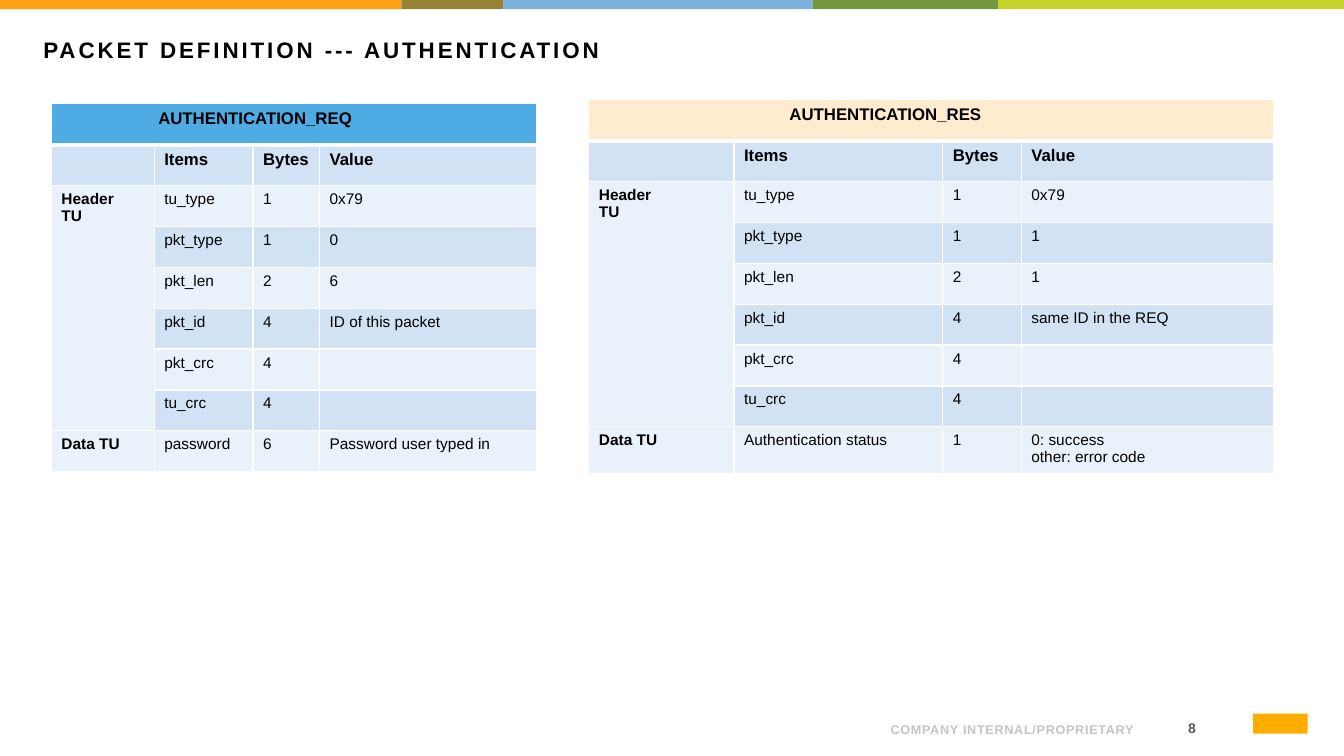
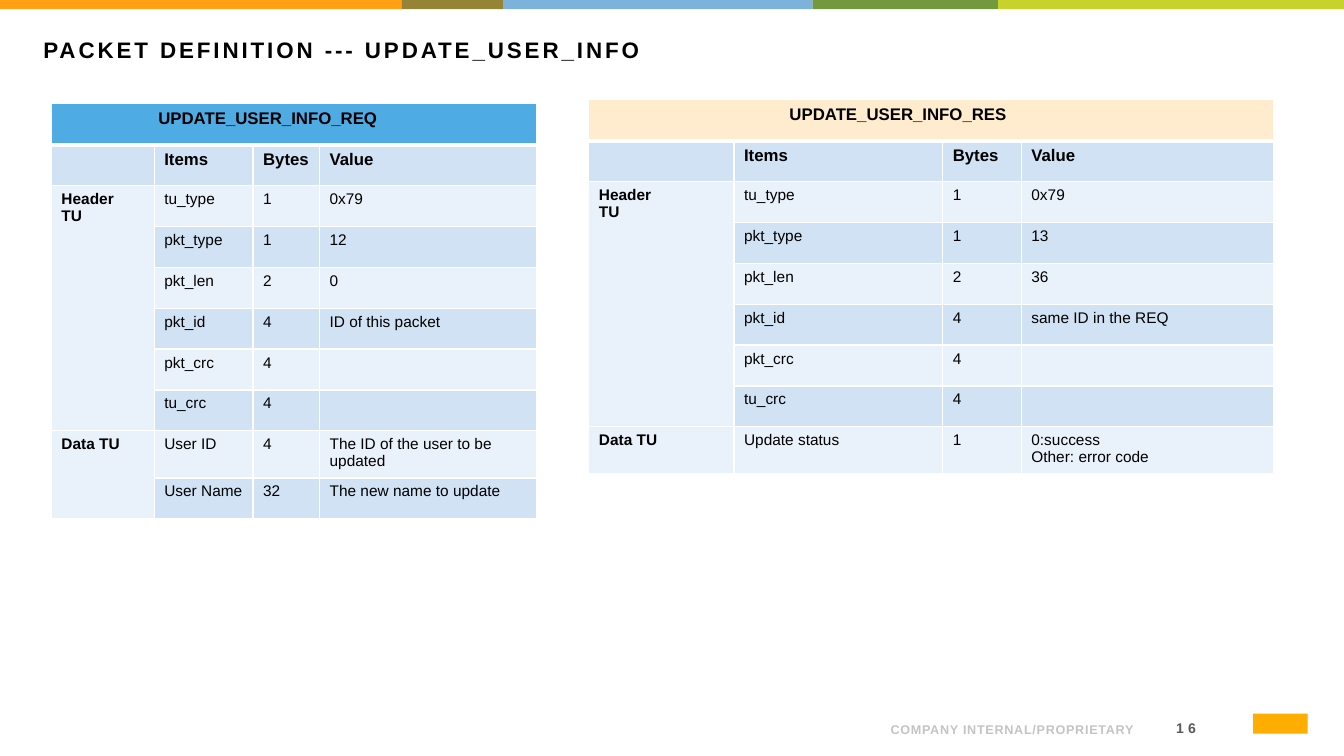
from dataclasses import dataclass
from typing import Optional

import lxml.etree
import pptx
import pptx.dml.color
import pptx.enum.shapes
import pptx.enum.text
import pptx.oxml.ns
import pptx.util

Inches = pptx.util.Inches
Align = pptx.enum.text.PP_ALIGN
Anchor = pptx.enum.text.MSO_ANCHOR

SLIDE_WIDTH, SLIDE_HEIGHT = 13.33, 7.5
ROW_HEIGHT = 3.65 / 9
CELL_MARGIN = 0.1
TITLE_ONLY_LAYOUT = 5


@dataclass(frozen=True)
class TextStyle:
    size: float
    color: str
    bold: bool = True
    spacing: float = 0


@dataclass(frozen=True)
class Theme:
    font: str = "Arial"
    title: TextStyle = TextStyle(16, "000000", spacing=2.1)
    heading: TextStyle = TextStyle(12, "000000")
    section: TextStyle = TextStyle(11, "000000")
    entry: TextStyle = TextStyle(11, "000000", bold=False)
    page_number: TextStyle = TextStyle(10, "595959", spacing=3)
    confidentiality: TextStyle = TextStyle(9, "C4C4C4", spacing=0.5)
    request: str = "4FABE3"
    response: str = "FFEBCE"
    dark_row: str = "D0E2F4"
    light_row: str = "E9F1FA"
    border: str = "FFFFFF"
    emblem: str = "FFAD00"


THEME = Theme()


@dataclass(frozen=True)
class Box:
    left: float
    top: float
    width: float
    height: float

    def emu(self) -> tuple[int, ...]:
        return tuple(Inches(v) for v in (self.left, self.top, self.width, self.height))


@dataclass(frozen=True)
class Band:
    width: float
    color: str


@dataclass(frozen=True)
class Field:
    item: str
    size: str
    value: str = ""


@dataclass(frozen=True)
class Section:
    name: str
    fields: list[Field]


@dataclass(frozen=True)
class TableLayout:
    left: float
    top: float
    columns: tuple[float, ...]
    heading_indent: float
    heading_fill: str


@dataclass(frozen=True)
class Packet:
    name: str
    layout: TableLayout
    sections: list[Section]


@dataclass(frozen=True)
class Page:
    title: str
    number: str
    packets: list[Packet]


TOP_BANDS = [
    Band(3.98, "FFA015"),
    Band(1.01, "958436"),
    Band(3.07, "7DB2DB"),
    Band(1.84, "73983E"),
    Band(3.43, "C7D22D"),
]
BAND_HEIGHT = 0.09
TITLE_BOX = Box(0.33, 0.31, 12.53, 0.72)
NUMBER_BOX = Box(11.28, 7.07, 0.65, 0.3)
CONFIDENTIALITY_BOX = Box(8.51, 7.02, 2.83, 0.34)
EMBLEM_BOX = Box(12.43, 7.08, 0.54, 0.2)

REQUEST = TableLayout(0.51, 1.03, (1.02, 0.98, 0.66, 2.15), 1.06, THEME.request)
RESPONSE = TableLayout(5.84, 0.99, (1.44, 2.07, 0.78, 2.5), 1.99, THEME.response)
COLUMN_NAMES = ("", "Items", "Bytes", "Value")


def packet(name: str, layout: TableLayout, kind: str, length: str,
           packet_id: str, data: list[Field]) -> Packet:
    """Combine the header fields common to all packets with the packet's own data."""
    header = [
        Field("tu_type", "1", "0x79"),
        Field("pkt_type", "1", kind),
        Field("pkt_len", "2", length),
        Field("pkt_id", "4", packet_id),
        Field("pkt_crc", "4"),
        Field("tu_crc", "4"),
    ]
    return Packet(name, layout, [Section("Header\nTU", header), Section("Data TU", data)])


def request(name: str, kind: str, length: str, data: list[Field]) -> Packet:
    return packet(f"{name}_REQ", REQUEST, kind, length, "ID of this packet", data)


def response(name: str, kind: str, length: str, data: list[Field]) -> Packet:
    return packet(f"{name}_RES", RESPONSE, kind, length, "same ID in the REQ", data)


PAGES = [
    Page("PACKET DEFINITION --- AUTHENTICATION", "8", [
        request("AUTHENTICATION", "0", "6",
                [Field("password", "6", "Password user typed in")]),
        response("AUTHENTICATION", "1", "1",
                 [Field("Authentication status", "1", "0: success\nother: error code")]),
    ]),
    Page("PACKET DEFINITION --- UPDATE_USER_INFO", "16", [
        request("UPDATE_USER_INFO", "12", "0",
                [Field("User ID", "4", "The ID of the user to be updated"),
                 Field("User Name", "32", "The new name to update")]),
        response("UPDATE_USER_INFO", "13", "36",
                 [Field("Update status", "1", "0:success\nOther: error code")]),
    ]),
]


def rgb(color: str) -> pptx.dml.color.RGBColor:
    return pptx.dml.color.RGBColor.from_string(color)


def write(frame, text: str, style: TextStyle, align=Align.LEFT) -> None:
    """Write each line of the text as a paragraph of one run."""
    for index, line in enumerate(text.split("\n")):
        paragraph = frame.add_paragraph() if index else frame.paragraphs[0]
        paragraph.alignment = align
        if not line:
            continue
        run = paragraph.add_run()
        run.text = line
        run.font.name = THEME.font
        run.font.size = pptx.util.Pt(style.size)
        run.font.bold = style.bold
        run.font.color.rgb = rgb(style.color)
        if style.spacing:
            run.font._element.set("spc", str(round(style.spacing * 100)))


def add_block(slide, box: Box, color: str) -> None:
    block = slide.shapes.add_shape(pptx.enum.shapes.MSO_SHAPE.RECTANGLE, *box.emu())
    block.shadow.inherit = False
    block.fill.solid()
    block.fill.fore_color.rgb = rgb(color)
    block.line.fill.background()


def add_footer_text(slide, box: Box, text: str, style: TextStyle, anchor,
                    margins: tuple[float, float]) -> None:
    frame = slide.shapes.add_textbox(*box.emu()).text_frame
    frame.word_wrap = True
    frame.vertical_anchor = anchor
    frame.margin_left = frame.margin_right = Inches(margins[0])
    frame.margin_top = frame.margin_bottom = Inches(margins[1])
    write(frame, text, style, Align.RIGHT)


def add_frame(slide, number: str) -> None:
    """Draw the top bands and the footer that all slides share."""
    left = 0.0
    for band in TOP_BANDS:
        add_block(slide, Box(left, 0, band.width, BAND_HEIGHT), band.color)
        left += band.width
    add_footer_text(slide, NUMBER_BOX, number, THEME.page_number,
                    Anchor.MIDDLE, (0.07, 0.04))
    add_footer_text(slide, CONFIDENTIALITY_BOX, "COMPANY INTERNAL/PROPRIETARY",
                    THEME.confidentiality, Anchor.BOTTOM, (0.1, 0.05))
    add_block(slide, EMBLEM_BOX, THEME.emblem)


def set_title(slide, text: str) -> None:
    title = slide.shapes.title
    title.left, title.top, title.width, title.height = TITLE_BOX.emu()
    frame = title.text_frame
    frame.word_wrap = True
    frame.auto_size = pptx.enum.text.MSO_AUTO_SIZE.NONE
    frame.vertical_anchor = Anchor.TOP
    write(frame, text, THEME.title)


def set_borders(cell, bottom: float) -> None:
    """Give the cell thin white borders, with its own bottom width in points."""
    qn = pptx.oxml.ns.qn
    properties = cell._tc.get_or_add_tcPr()
    widths = {"a:lnL": 1, "a:lnR": 1, "a:lnT": 1, "a:lnB": bottom}
    for index, (side, width) in enumerate(widths.items()):
        line = lxml.etree.Element(qn(side), w=str(pptx.util.Pt(width)))
        fill = lxml.etree.SubElement(line, qn("a:solidFill"))
        lxml.etree.SubElement(fill, qn("a:srgbClr"), val=THEME.border)
        properties.insert(index, line)


def fill_cell(cell, text: str, style: TextStyle, color: str,
              indent: Optional[float] = None, bottom: float = 1) -> None:
    cell.fill.solid()
    cell.fill.fore_color.rgb = rgb(color)
    cell.margin_left = Inches(CELL_MARGIN if indent is None else indent)
    set_borders(cell, bottom)
    write(cell.text_frame, text, style)


def add_packet_table(slide, content: Packet) -> None:
    layout = content.layout
    row_count = 2 + sum(len(section.fields) for section in content.sections)
    box = Box(layout.left, layout.top, sum(layout.columns), row_count * ROW_HEIGHT)
    table = slide.shapes.add_table(row_count, len(layout.columns), *box.emu()).table
    table.first_row = table.horz_banding = False
    for column, width in zip(table.columns, layout.columns):
        column.width = Inches(width)
    for row in table.rows:
        row.height = Inches(ROW_HEIGHT)

    last_column = len(layout.columns) - 1
    table.cell(0, 0).merge(table.cell(0, last_column))
    for column, name in enumerate(COLUMN_NAMES):
        heading = "" if column else content.name
        fill_cell(table.cell(0, column), heading, THEME.heading, layout.heading_fill,
                  layout.heading_indent, bottom=3)
        fill_cell(table.cell(1, column), name, THEME.heading, THEME.dark_row)

    row = 2
    for section in content.sections:
        first = row
        for field in section.fields:
            name = section.name if row == first else ""
            fill_cell(table.cell(row, 0), name, THEME.section, THEME.light_row)
            color = THEME.dark_row if row % 2 else THEME.light_row
            for column, text in enumerate((field.item, field.size, field.value), start=1):
                fill_cell(table.cell(row, column), text, THEME.entry, color)
            row += 1
        if row - first > 1:
            table.cell(first, 0).merge(table.cell(row - 1, 0))


def main() -> None:
    deck = pptx.Presentation()
    deck.slide_width, deck.slide_height = Inches(SLIDE_WIDTH), Inches(SLIDE_HEIGHT)
    for page in PAGES:
        slide = deck.slides.add_slide(deck.slide_layouts[TITLE_ONLY_LAYOUT])
        add_frame(slide, page.number)
        set_title(slide, page.title)
        for content in page.packets:
            add_packet_table(slide, content)
    deck.save("out.pptx")


if __name__ == "__main__":
    main()
